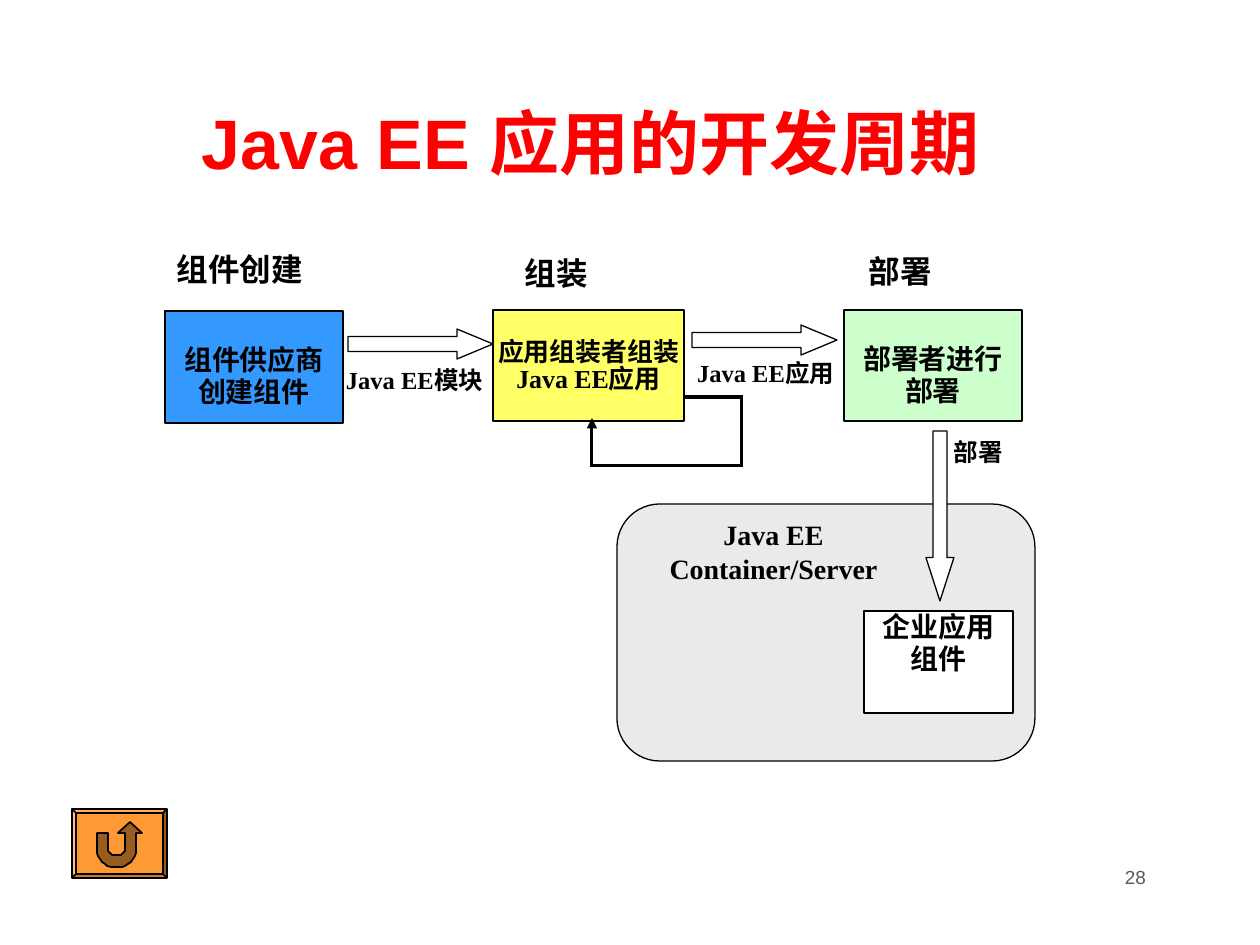
"""Build a slide on the development cycle of Java EE applications."""
from math import cos, pi, sin

from lxml.etree import SubElement
from pptx import Presentation
from pptx.dml.color import RGBColor
from pptx.enum.shapes import MSO_CONNECTOR, MSO_SHAPE as SHAPE
from pptx.enum.text import MSO_ANCHOR as ANCHOR, PP_ALIGN as ALIGN
from pptx.oxml.ns import qn
from pptx.util import Pt

PX = 914400 / 126
COLORS = {
    "title": "FF0000", "ink": "000000", "number": "5E574E", "white": "FFFFFF",
    "server": "EAEAEA", "create": "3399FF", "assemble": "FFFF66",
    "deploy": "CCFFCC", "button": "FF9933", "icon": "995C1F",
}
SERIF = "Times New Roman"

deck = Presentation()
deck.slide_width, deck.slide_height = round(1260 * PX), round(945 * PX)
page = deck.slides.add_slide(deck.slide_layouts[6])


def style(shape, fill, weight=0.75):
    shape.shadow.inherit = False
    shape.fill.solid()
    shape.fill.fore_color.rgb = RGBColor.from_string(COLORS[fill])
    shape.line.color.rgb = RGBColor.from_string(COLORS["ink"])
    shape.line.width = Pt(weight)
    return shape


def write(box, text, size, color="ink", font=SERIF, bold=True, align=ALIGN.CENTER,
          spacing=1.0, insets=(13, 6, 13, 6), anchor=ANCHOR.TOP):
    frame = box.text_frame
    frame.word_wrap = True
    frame.vertical_anchor = anchor
    frame.margin_left, frame.margin_top, frame.margin_right, frame.margin_bottom = [
        round(inset * PX) for inset in insets]
    frame.text = text
    for para in frame.paragraphs:
        para.alignment = align
        para.line_spacing = spacing
        para.font.size = Pt(size)
        para.font.name = font
        para.font.bold = bold
        para.font.color.rgb = RGBColor.from_string(COLORS[color])


title = page.shapes.add_textbox(*[round(v * PX) for v in (55, 32, 1071, 157)])
write(title, "Java EE 应用的开发周期", 40, "title", "Arial", anchor=ANCHOR.BOTTOM)

server = page.shapes.add_shape(
    SHAPE.ROUNDED_RECTANGLE, *[round(v * PX) for v in (617, 504, 418, 257)])
style(server, "server")

for area, fill, text, size, spacing, top in [
    ((864, 611, 149, 102), "white", "企业应用\n组件", 16, 0.96, 1),
    ((165, 311, 178, 112), "create", "组件供应商\n创建组件", 16, 0.96, 34),
    ((493, 310, 191, 111), "assemble", "应用组装者组装Java EE应用", 14.8, 0.86, 30),
    ((844, 310, 178, 111), "deploy", "部署者进行\n部署", 16, 0.96, 34),
]:
    box = page.shapes.add_shape(SHAPE.RECTANGLE, *[round(v * PX) for v in area])
    style(box, fill)
    write(box, text, size, spacing=spacing, insets=(2, top, 2, 1))

for kind, area, head in [
    (SHAPE.RIGHT_ARROW, (348, 329, 145, 30), 1.2),
    (SHAPE.RIGHT_ARROW, (692, 325, 145, 30), 1.2),
    (SHAPE.DOWN_ARROW, (926, 431, 28, 170), 1.55),
]:
    arrow = page.shapes.add_shape(kind, *[round(v * PX) for v in area])
    style(arrow, "white")
    arrow.adjustments[0], arrow.adjustments[1] = 0.5, head

for area, text, size, align in [
    ((612, 512, 323, 81), "Java EE Container/Server", 16, ALIGN.CENTER),
    ((164, 244, 154, 68), "组件创建", 18, ALIGN.JUSTIFY),
    ((512, 248, 154, 67), "组装", 18, ALIGN.JUSTIFY),
    ((856, 246, 154, 67), "部署", 18, ALIGN.JUSTIFY),
    ((333, 359, 179, 67), "Java EE模块", 14, ALIGN.JUSTIFY),
    ((684, 352, 194, 67), "Java EE应用", 14, ALIGN.JUSTIFY),
    ((941, 431, 96, 67), "部署", 14, ALIGN.JUSTIFY),
]:
    label = page.shapes.add_textbox(*[round(v * PX) for v in area])
    write(label, text, size, align=align)

for ends in [(685, 397, 743, 397), (742, 397, 742, 467),
             (742, 466, 590, 466), (592, 464, 592, 418)]:
    line = page.shapes.add_connector(
        MSO_CONNECTOR.STRAIGHT, *[round(v * PX) for v in ends])
    line.line.color.rgb = RGBColor.from_string(COLORS["ink"])
    line.line.width = Pt(1.75)
    SubElement(line._element.spPr, qn("a:effectLst"))
SubElement(line.line._get_or_add_ln(), qn("a:tailEnd"), type="triangle")

number = page.shapes.add_textbox(*[round(v * PX) for v in (1086, 864, 73, 48)])
write(number, "28", 10.8, "number", "Arial", False, ALIGN.RIGHT, 0.8)

button = page.shapes.add_shape(SHAPE.BEVEL, *[round(v * PX) for v in (72, 809, 95, 69)])
style(button, "button", 1)
button.adjustments[0] = 0.06

quarter = [step * pi / 16 for step in range(9)]
inner_left = [(114 - 6 * cos(a), 849 + 6 * sin(a)) for a in quarter]
inner_right = [(119 + 6 * sin(a), 849 + 6 * cos(a)) for a in quarter]
outer_right = [(118 + 18 * cos(a), 849 + 18 * sin(a)) for a in quarter]
outer_left = [(114 - 17 * sin(a), 849 + 18 * cos(a)) for a in quarter]
head = [(125, 833), (118, 833), (130, 822), (142, 833), (136, 833)]
builder = page.shapes.build_freeform(97, 833, scale=PX)
builder.add_line_segments(
    [(108, 833), *inner_left, *inner_right, *head, *outer_right, *outer_left])
style(builder.convert_to_shape(), "icon", 1)

deck.save("out.pptx")
